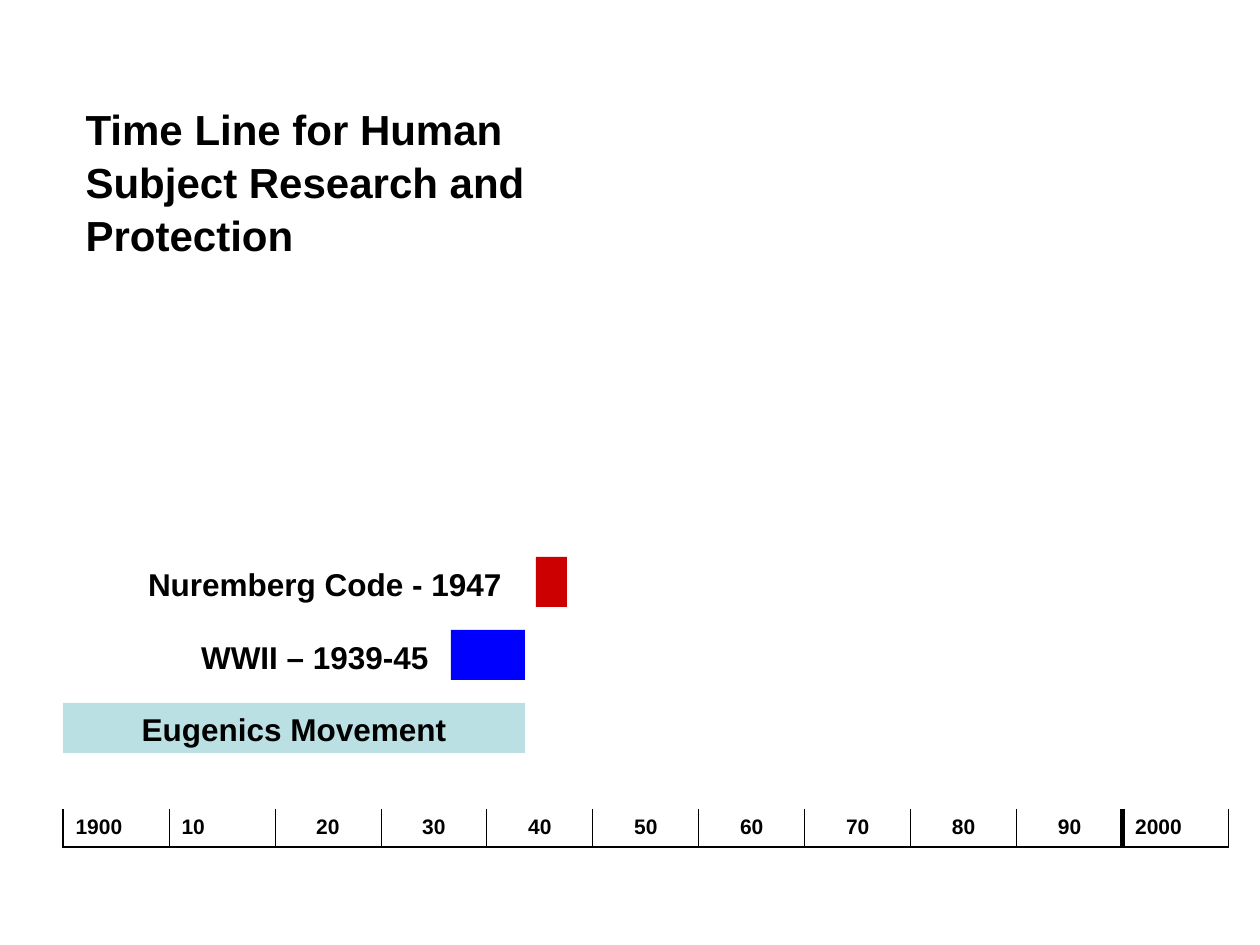
import pptx
import pptx.dml.color
import pptx.enum.shapes
import pptx.enum.text
import pptx.oxml
import pptx.oxml.ns
import pptx.util

RGBColor = pptx.dml.color.RGBColor
BLACK = RGBColor(0, 0, 0)
TEAL = RGBColor(0xBB, 0xE0, 0xE3)
BLUE = RGBColor(0, 0, 0xFF)
RED = RGBColor(0xCC, 0, 0)

Align = pptx.enum.text.PP_ALIGN
SCALE = 914400 / 126


def px(length):
    return pptx.util.Emu(round(length * SCALE))


def write(frame, text, size, align=Align.LEFT, spacing=1.05):
    frame.word_wrap = True
    para = frame.paragraphs[0]
    para.alignment = align
    para.line_spacing = spacing
    span = para.add_run()
    span.text = text
    span.font.name = "Arial"
    span.font.size = pptx.util.Pt(size)
    span.font.bold = True
    span.font.color.rgb = BLACK


def border(cell, sides):
    properties = cell._tc.get_or_add_tcPr()
    for position, side in enumerate("LRTB"):
        width = sides.get(side, 0)
        paint = f'<a:solidFill><a:srgbClr val="{BLACK}"/></a:solidFill>' if width else "<a:noFill/>"
        line = pptx.oxml.parse_xml(
            f'<a:ln{side} {pptx.oxml.ns.nsdecls("a")} w="{pptx.util.Pt(width)}">{paint}</a:ln{side}>'
        )
        properties.insert(position, line)


class TimelineSlide:
    def __init__(self, deck):
        self.page = deck.slides.add_slide(deck.slide_layouts[5])
        self.title_size = 24
        self.label_size = 18
        self.year_size = 12

    def title(self, text, left, top, width, height):
        box = self.page.shapes.title
        box.left, box.top, box.width, box.height = map(px, (left, top, width, height))
        box.text_frame.vertical_anchor = pptx.enum.text.MSO_ANCHOR.TOP
        box.text_frame.auto_size = pptx.enum.text.MSO_AUTO_SIZE.NONE
        write(box.text_frame, text, self.title_size)

    def bar(self, left, top, width, height, color, text=None):
        box = self.page.shapes.add_shape(
            pptx.enum.shapes.MSO_SHAPE.RECTANGLE, *map(px, (left, top, width, height))
        )
        box.shadow.inherit = False
        box.fill.solid()
        box.fill.fore_color.rgb = color
        box.line.fill.background()
        if text:
            write(box.text_frame, text, self.label_size, Align.CENTER)

    def label(self, text, left, top, width, height):
        box = self.page.shapes.add_textbox(*map(px, (left, top, width, height)))
        write(box.text_frame, text, self.label_size, Align.RIGHT)

    def scale(self, years, left, top, column_width, height):
        count = len(years)
        frame = self.page.shapes.add_table(
            1, count, px(left), px(top), px(column_width * count), px(height)
        )
        table = frame.table
        table.first_row = table.horz_banding = False
        table.rows[0].height = px(height)
        edges = [1.08] + [0.45] * (count - 2) + [3, 1.08]
        for index, year in enumerate(years):
            table.columns[index].width = px(column_width)
            cell = table.cell(0, index)
            cell.fill.background()
            border(cell, {"L": edges[index], "R": edges[index + 1], "B": 1.08})
            align = Align.CENTER if 2 <= index < count - 1 else Align.LEFT
            write(cell.text_frame, year, self.year_size, align, 1.0)


def main():
    deck = pptx.Presentation()
    deck.slide_width, deck.slide_height = px(1260), px(945)
    slide = TimelineSlide(deck)
    slide.title("Time Line for Human Subject Research and Protection", 73, 95, 483, 164)

    years = ["1900", *(str(year) for year in range(10, 100, 10)), "2000"]
    slide.scale(years, 63, 809, 106, 38)

    height = 50
    code_top, war_top, eugenics_top = range(557, 704, 73)
    slide.bar(63, eugenics_top, 462, height, TEAL, "Eugenics Movement")
    slide.bar(451, war_top, 74, height, BLUE)
    slide.bar(536, code_top, 31, height, RED)
    slide.label("Nuremberg Code - 1947", 126, code_top, 388, height)
    slide.label("WWII – 1939-45", 158, war_top, 283, height)
    deck.save("out.pptx")


if __name__ == "__main__":
    main()
